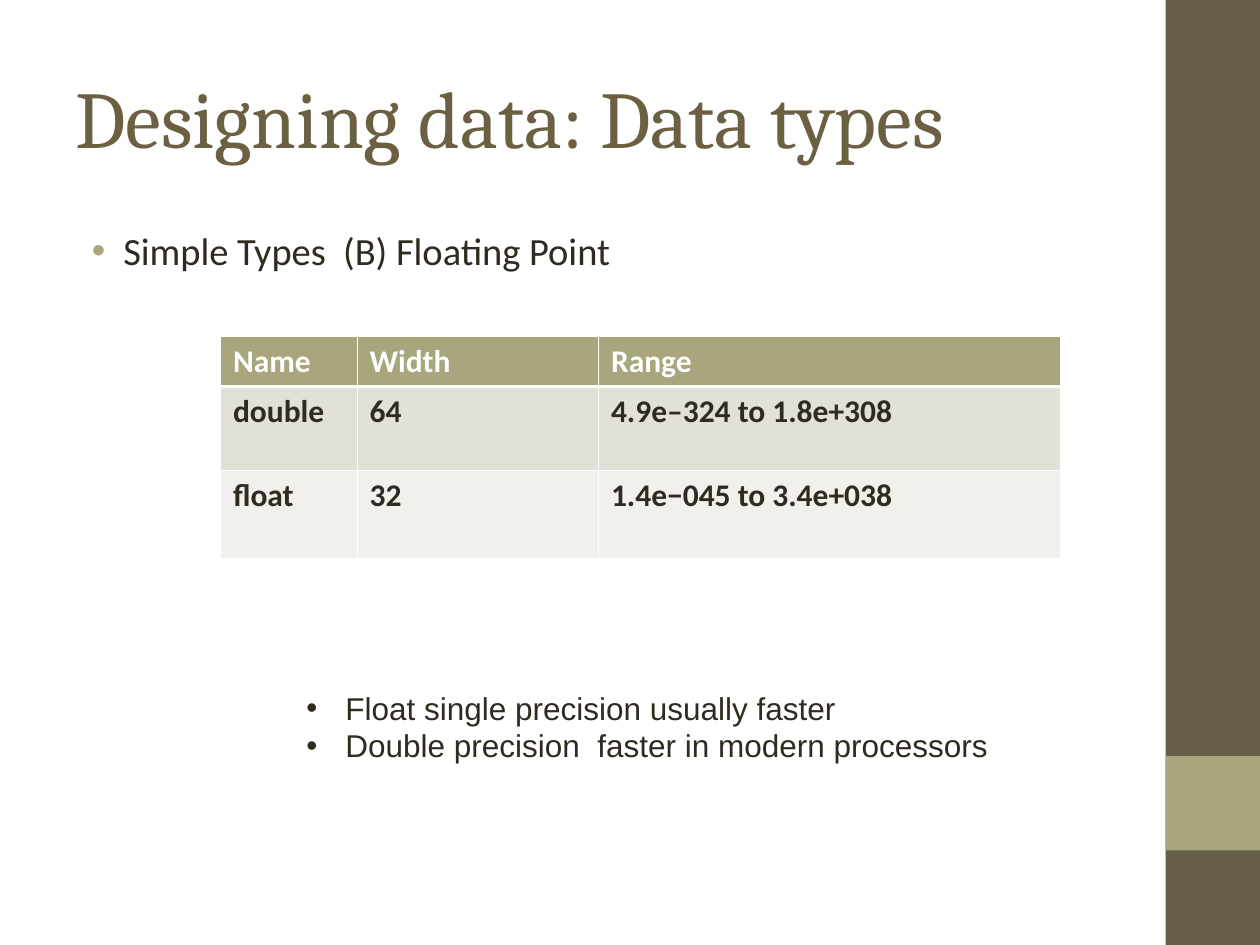
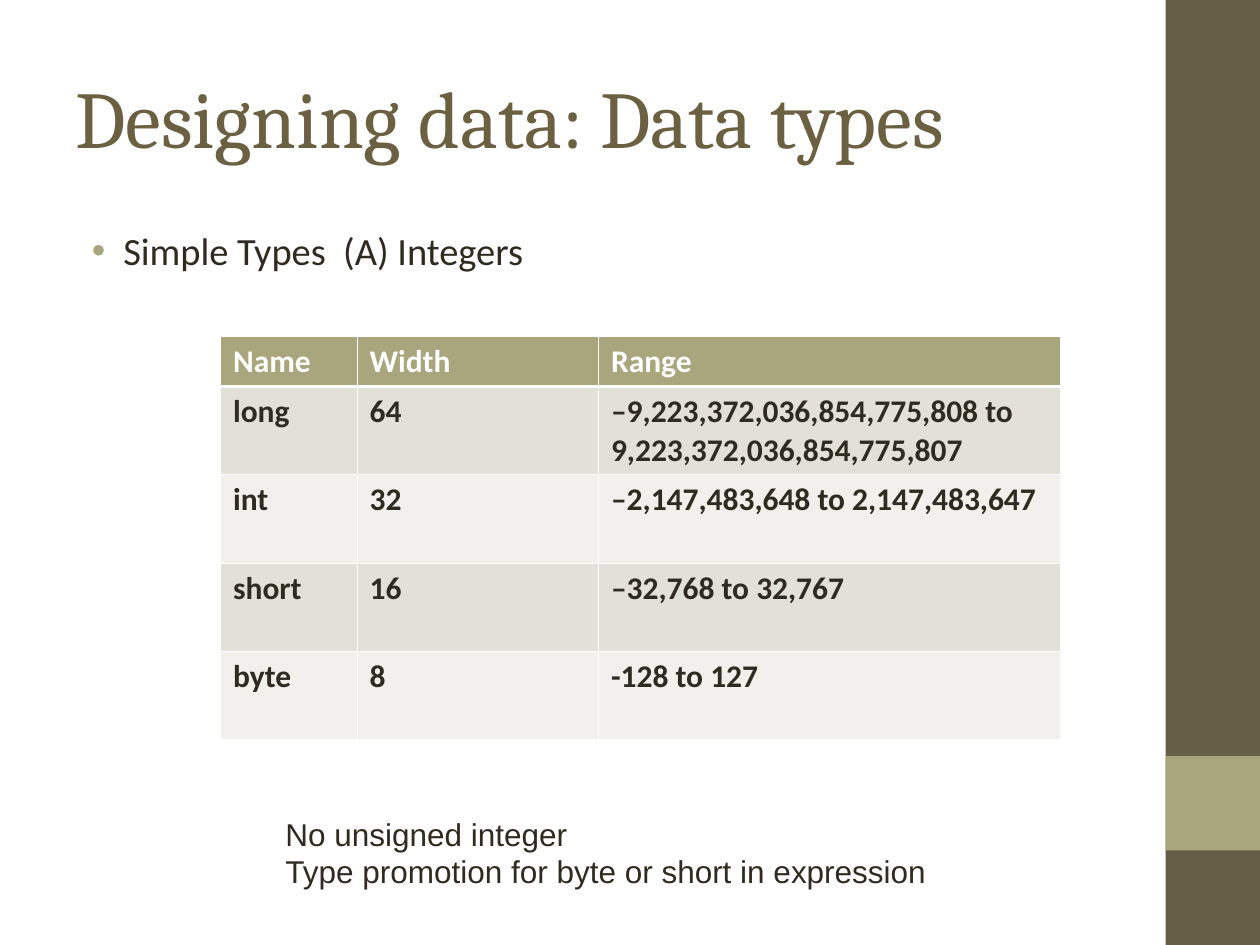
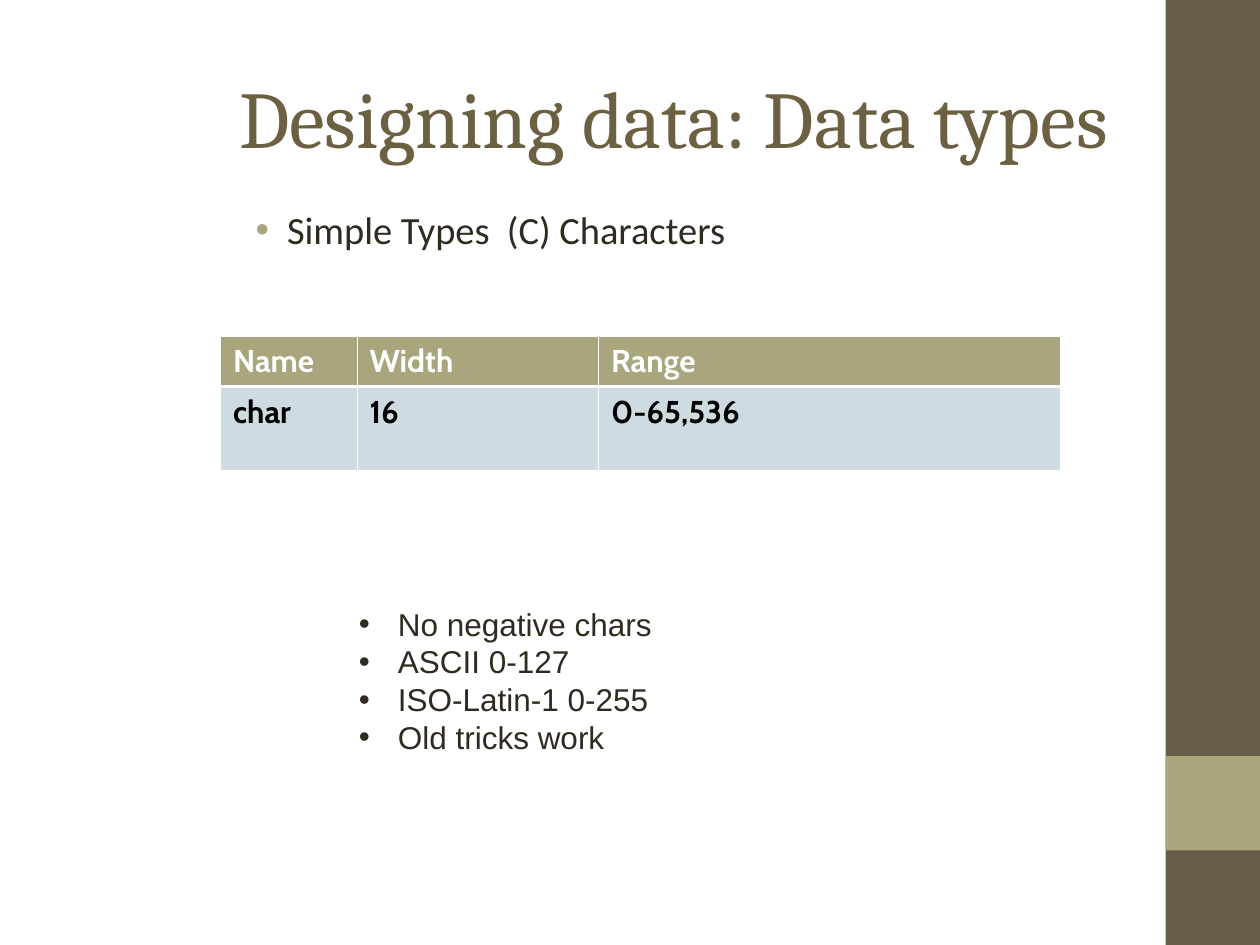
from pptx import Presentation, util as u
from pptx.dml.color import RGBColor
from pptx.enum import shapes, text
from pptx.oxml import parse_xml
from pptx.oxml.ns import nsdecls

COLS, ROWS = 120, 90
HEADER = ["Name", "Width", "Range"]
COL_WIDTHS = [13, 23, 44]


def rgb(hex_color):
    return RGBColor.from_string(hex_color)


class Deck:
    brown, olive, title_color = "675E47", "A9A57C", "6C6042"
    ink, white, black = "2F2B20", "FFFFFF", "000000"
    stripes = ["E2E1D7", "F1F0EC"]

    def __init__(self):
        self.prs = Presentation()
        self.prs.slide_width, self.prs.slide_height = u.Inches(10), u.Inches(7.5)
        self.s = None

    def x(self, col):
        return round(self.prs.slide_width * col / COLS)

    def y(self, row):
        return round(self.prs.slide_height * row / ROWS)

    def box(self, col, row, width, height):
        return self.x(col), self.y(row), self.x(width), self.y(height)

    def slide(self):
        self.s = self.prs.slides.add_slide(self.prs.slide_layouts[6])
        self.band(0, 90, self.brown)
        self.band(72, 9, self.olive)

    def band(self, row, height, color):
        sp = self.s.shapes.add_shape(
            shapes.MSO_SHAPE.RECTANGLE, *self.box(111, row, 9, height))
        sp.shadow.inherit = False
        sp.fill.solid()
        sp.fill.fore_color.rgb = rgb(color)
        sp.line.fill.background()

    def run(self, p, words, font, size, color, bold=False):
        r = p.add_run()
        r.text = words
        r.font.name, r.font.size, r.font.bold = font, u.Pt(size), bold
        r.font.color.rgb = rgb(color)

    def bullet(self, p, color, left, hang):
        pPr = p._p.get_or_add_pPr()
        pPr.set("marL", str(u.Inches(left)))
        pPr.set("indent", str(-u.Inches(hang)))
        for xml in (f'<a:buClr {nsdecls("a")}><a:srgbClr val="{color}"/></a:buClr>',
                    f'<a:buFont {nsdecls("a")} typeface="Arial"/>',
                    f'<a:buChar {nsdecls("a")} char="•"/>'):
            pPr.append(parse_xml(xml))

    def lines(self, place, lines, font, size, color, bullet=None, middle=False):
        tf = self.s.shapes.add_textbox(*self.box(*place)).text_frame
        tf.word_wrap = True
        if middle:
            tf.vertical_anchor = text.MSO_ANCHOR.MIDDLE
        for i, words in enumerate(lines):
            p = tf.add_paragraph() if i else tf.paragraphs[0]
            if bullet:
                self.bullet(p, *bullet)
            self.run(p, words, font, size, color)

    def title(self, col=6, width=100):
        self.lines((col, 3.6, width, 15), ["Designing data: Data types"],
                   "Cambria", 46, self.title_color, middle=True)

    def topic(self, words, col=6, row=21, width=100):
        self.lines((col, row, width, 63), [words], "Calibri", 22, self.ink,
                   bullet=(self.olive, 0.38, 0.25))

    def notes(self, place, lines, bulleted=True):
        bullet = (self.ink, 0.31, 0.31) if bulleted else None
        self.lines(place, lines, "Arial", 18, self.ink, bullet=bullet)

    def borders(self, cell, top, bottom):
        tcPr = cell._tc.get_or_add_tcPr()
        for side, width in zip("LRTB", (0.45, 0.45, top, bottom)):
            tcPr.append(parse_xml(
                f'<a:ln{side} {nsdecls("a")} w="{u.Pt(width)}"><a:solidFill>'
                f'<a:srgbClr val="{self.white}"/></a:solidFill></a:ln{side}>'))

    def table(self, rows, heights, font="Calibri", color=ink, stripes=stripes):
        heights = [4.8, *heights]
        place = self.box(21, 32, sum(COL_WIDTHS), sum(heights))
        tbl = self.s.shapes.add_table(len(heights), len(HEADER), *place).table
        for column, width in zip(tbl.columns, COL_WIDTHS):
            column.width = self.x(width)
        for i, values in enumerate([HEADER, *rows]):
            tbl.rows[i].height = self.y(heights[i])
            fill = stripes[(i - 1) % len(stripes)] if i else self.olive
            for j, words in enumerate(values):
                cell = tbl.cell(i, j)
                self.borders(cell, top=1.47 if i == 1 else 0.45,
                             bottom=0.45 if i else 1.47)
                cell.fill.solid()
                cell.fill.fore_color.rgb = rgb(fill)
                self.run(cell.text_frame.paragraphs[0], words, font, 18,
                         color if i else self.white, bold=True)


def main():
    deck = Deck()

    deck.slide()
    deck.title()
    deck.topic("Simple Types  (B) Floating Point")
    deck.table([["double", "64", "4.9e–324 to 1.8e+308"],
                ["float", "32", "1.4e−045 to 3.4e+038"]], [8, 8.4])
    deck.notes((28, 65, 77, 8.4), ["Float single precision usually faster",
                                   "Double precision  faster in modern processors"])

    deck.slide()
    deck.title()
    deck.topic("Simple Types  (A) Integers")
    deck.table([["long", "64", "–9,223,372,036,854,775,808 to 9,223,372,036,854,775,807"],
                ["int", "32", "–2,147,483,648 to 2,147,483,647"],
                ["short", "16", "–32,768 to 32,767"],
                ["byte", "8", "-128 to 127"]], [8.4] * 4)
    deck.notes((26, 77, 71, 8.4), ["No unsigned integer",
                                   "Type promotion for byte or short in expression"],
               bulleted=False)

    deck.slide()
    deck.title(col=21.6, width=98.4)
    deck.topic("Simple Types  (C) Characters", col=21.6, row=19, width=98.4)
    deck.table([["char", "16", "0-65,536"]], [8], font="Cabin",
               color=deck.black, stripes=["CEDCE1"])
    deck.notes((33, 57, 65, 15.6), ["No negative chars", "ASCII 0-127",
                                    "ISO-Latin-1 0-255", "Old tricks work"])

    deck.prs.save("out.pptx")


if __name__ == "__main__":
    main()
